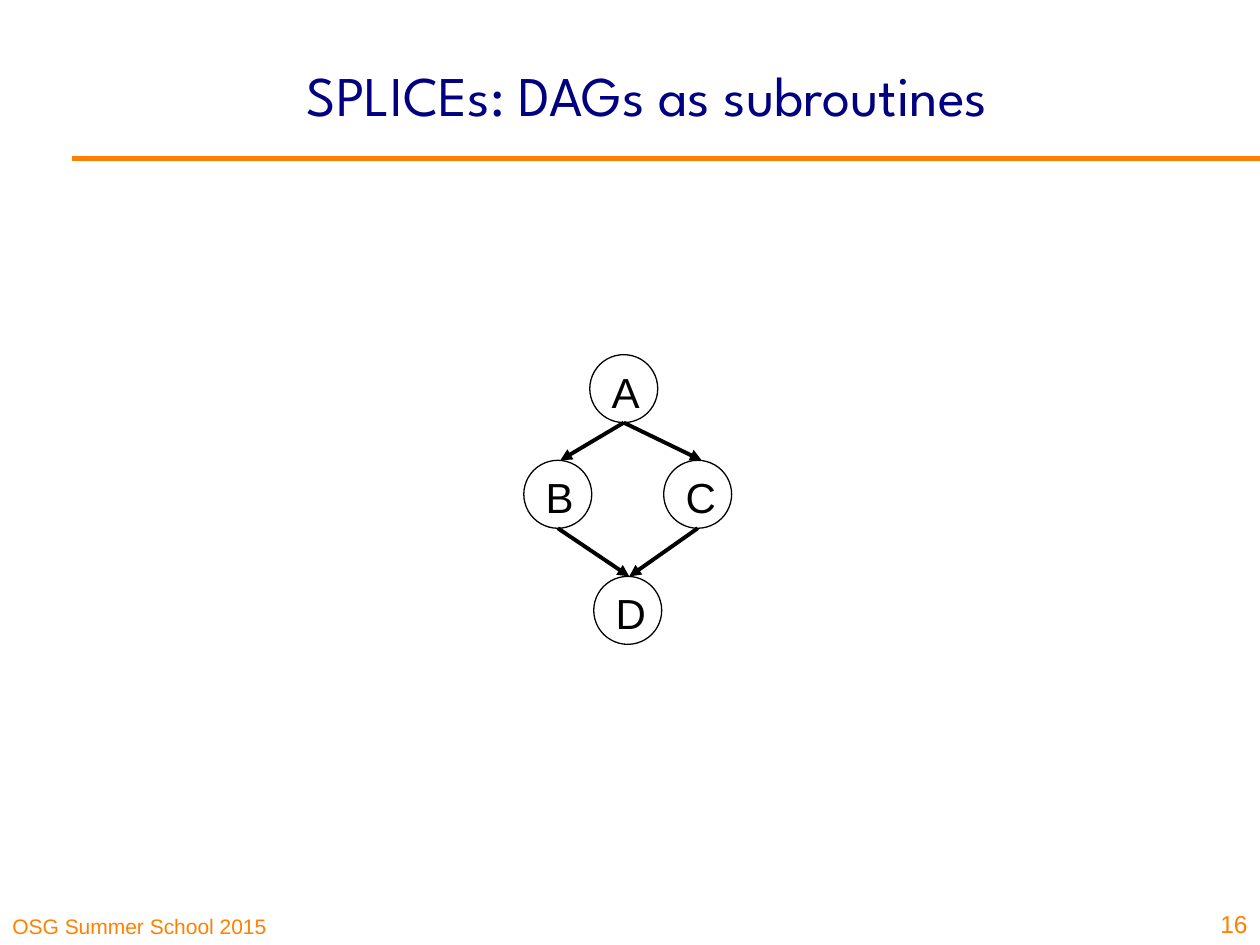
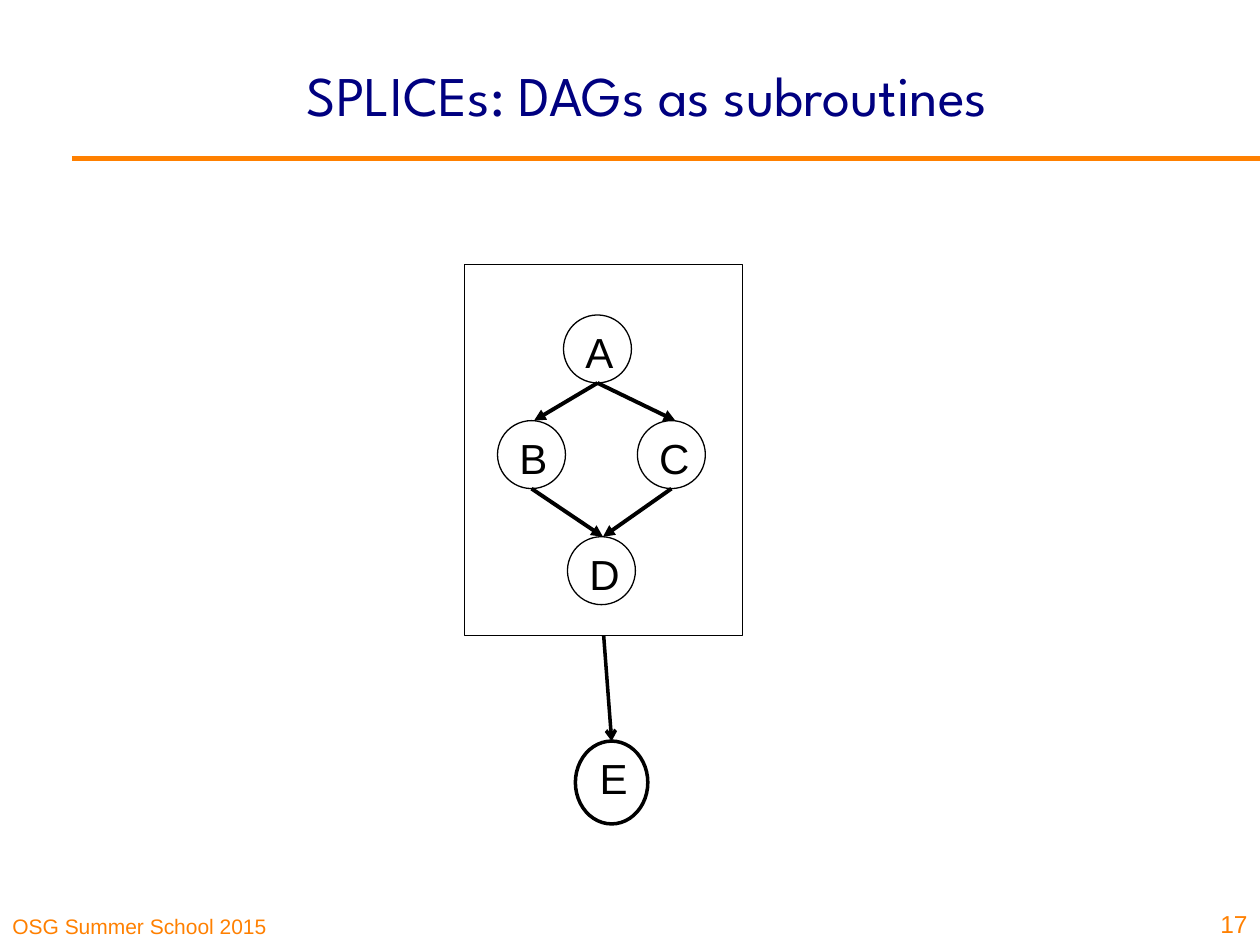
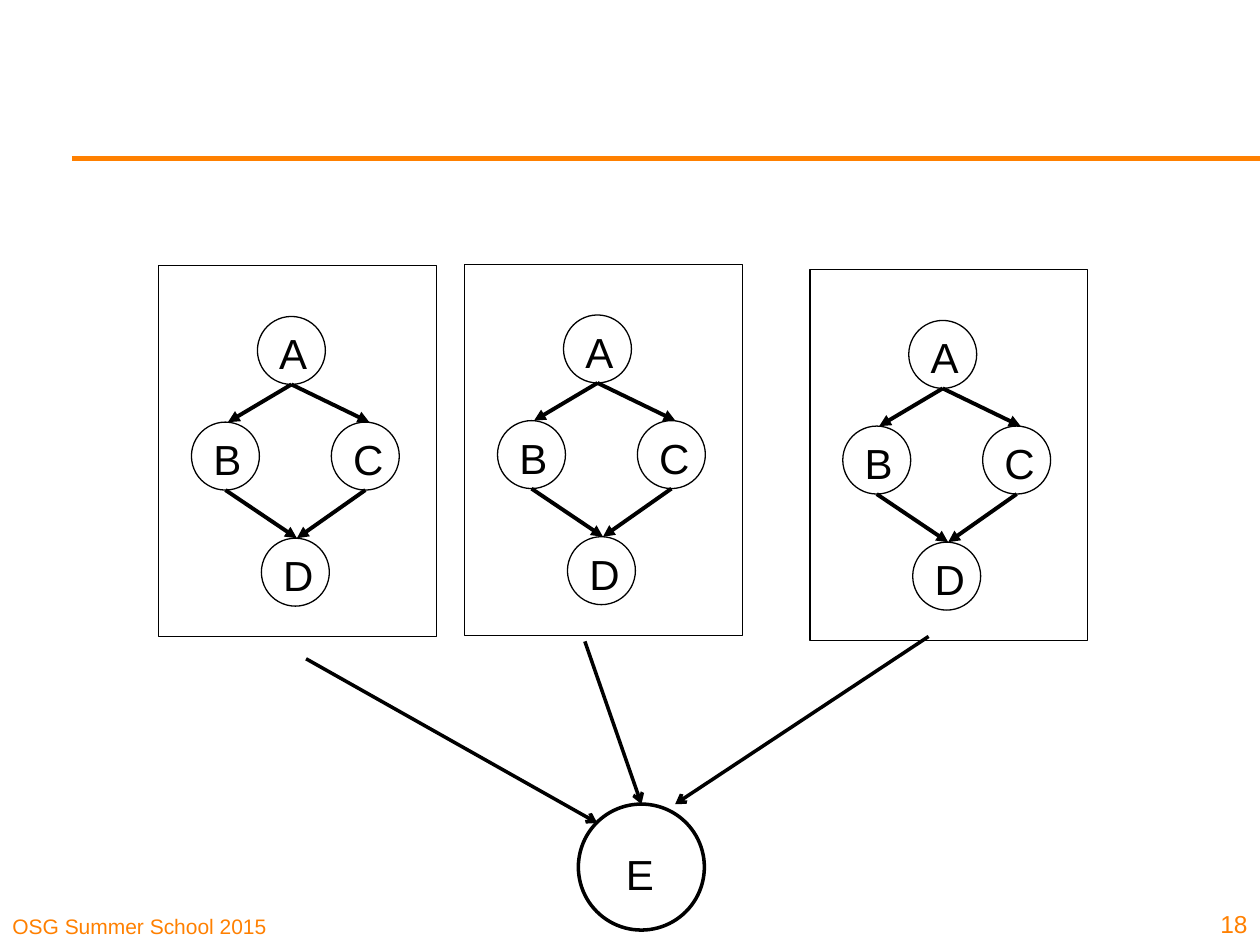
from lxml import etree
from pptx import Presentation
from pptx.dml.color import RGBColor
from pptx.enum.shapes import MSO_CONNECTOR, MSO_SHAPE
from pptx.enum.text import MSO_ANCHOR, PP_ALIGN
from pptx.oxml.ns import qn
from pptx.util import Cm, Pt

STRAIGHT = MSO_CONNECTOR.STRAIGHT
OVAL, RECTANGLE = MSO_SHAPE.OVAL, MSO_SHAPE.RECTANGLE
TOP, MIDDLE, BOTTOM = MSO_ANCHOR.TOP, MSO_ANCHOR.MIDDLE, MSO_ANCHOR.BOTTOM
LEFT, CENTER, RIGHT = PP_ALIGN.LEFT, PP_ALIGN.CENTER, PP_ALIGN.RIGHT

COLORS = {"title": "000080", "accent": "FF8000", "ink": "000000"}

# Text formats: font attributes plus colour
TITLE_FORMAT = {"name": "League Spartan", "size": Pt(32), "color": "title"}
FOOTER_FORMAT = {"name": "Arial", "size": Pt(12), "color": "accent"}
NUMBER_FORMAT = {"name": "Arial", "size": Pt(14), "color": "accent"}
LABEL_FORMAT = {"name": "Arial", "size": Pt(24), "color": "ink"}

TITLE = "SPLICEs: DAGs as subroutines"
FIRST_NUMBER = 16

# Diamond geometry in cm, measured from the corner of its frame
FRAME_SIZE = (5.6, 7.48)
NODE_SIZE = 1.37
NODES = {"A": (1.99, 1.02), "B": (0.66, 3.15), "C": (3.48, 3.15), "D": (2.07, 5.49)}
# Parent, child, and how far the tip lies right of the child's top
EDGES = [("A", "B", 0.05), ("A", "C", 0.08), ("B", "D", 0.03), ("C", "D", 0.03)]
LABEL_HEIGHT = 1.27


def rgb(name):
    return RGBColor.from_string(COLORS[name])


def add_text(shapes, text, box, text_format, alignment=LEFT, anchor=TOP, top_inset=0.13):
    frame = shapes.add_textbox(*map(Cm, box)).text_frame
    frame.word_wrap = True
    frame.vertical_anchor = anchor
    frame.margin_top = Cm(top_inset)
    paragraph = frame.paragraphs[0]
    paragraph.alignment = alignment
    run = paragraph.add_run()
    run.text = text
    for attribute, value in text_format.items():
        if attribute == "color":
            run.font.color.rgb = rgb(value)
        else:
            setattr(run.font, attribute, value)


def add_outline(shapes, kind, box, weight=0.75):
    shape = shapes.add_shape(kind, *map(Cm, box))
    shape.shadow.inherit = False
    shape.fill.background()
    shape.line.color.rgb = rgb("ink")
    shape.line.width = Pt(weight)
    return shape


def add_line(shapes, start, end, weight, color="ink", head=None):
    line = shapes.add_connector(STRAIGHT, *map(Cm, (*start, *end)))
    line.line.color.rgb = rgb(color)
    line.line.width = Pt(weight)
    properties = line._element.spPr
    if head:
        etree.SubElement(properties.find(qn("a:ln")), qn("a:tailEnd"), type=head)
    etree.SubElement(properties, qn("a:effectLst"))
    return line


def add_node(shapes, text, box, label_offset=(0.19, 0), label_width=1.1, weight=0.75):
    left, top = box[:2]
    add_outline(shapes, OVAL, box, weight)
    label_box = (left + label_offset[0], top + label_offset[1], label_width, LABEL_HEIGHT)
    add_text(shapes, text, label_box, LABEL_FORMAT, top_inset=0.23)


def add_diamond(slide, left, top, framed=True):
    """Draw the A-B-C-D graph as a group and return its frame, if any."""
    shapes = slide.shapes.add_group_shape().shapes
    corners = {name: (left + x, top + y) for name, (x, y) in NODES.items()}
    for name, corner in corners.items():
        add_node(shapes, name, (*corner, NODE_SIZE, NODE_SIZE))
    for parent, child, shift in EDGES:
        start_x, start_y = corners[parent]
        end_x, end_y = corners[child]
        add_line(shapes, (start_x + NODE_SIZE / 2, start_y + NODE_SIZE),
                 (end_x + NODE_SIZE / 2 + shift, end_y), 2.25, head="triangle")
    if framed:
        return add_outline(shapes, RECTANGLE, (left, top, *FRAME_SIZE))
    return None


def add_base_slide(presentation, title=None):
    """Add a slide with the footer, rule, page number and optional title."""
    slide = presentation.slides.add_slide(presentation.slide_layouts[6])
    number = FIRST_NUMBER + len(presentation.slides) - 1
    add_text(slide.shapes, "OSG Summer School 2015", (0, 17.98, 6.3, 1.07),
             FOOTER_FORMAT, anchor=BOTTOM)
    add_line(slide.shapes, (1.45, 3.2), (25.4, 3.2), 3, "accent")
    if title:
        add_text(slide.shapes, title, (3.4, 0.3, 19.3, 3.18), TITLE_FORMAT, CENTER, MIDDLE)
    add_text(slide.shapes, str(number), (24.23, 17.78, 1.17, 1.27),
             NUMBER_FORMAT, RIGHT, BOTTOM)
    return slide


def add_plain_dag(presentation):
    slide = add_base_slide(presentation, TITLE)
    add_diamond(slide, 9.9, 6.13, framed=False)


def add_single_splice(presentation):
    slide = add_base_slide(presentation, TITLE)
    frame = add_diamond(slide, 9.37, 5.33)
    final_node = slide.shapes.add_group_shape().shapes
    add_node(final_node, "E", (11.6, 14.94, 1.46, 1.67), (0.24, 0), 1.27, weight=2)
    arrow = add_line(slide.shapes, (12.17, 12.81), (12.33, 14.94), 2, head="arrow")
    arrow.begin_connect(frame, 2)


def add_three_splices(presentation):
    slide = add_base_slide(presentation)
    for left, top in [(3.2, 5.36), (9.37, 5.33), (16.33, 5.44)]:
        add_diamond(slide, left, top)
    # Arrows from each splice to the final node
    for start, end in [((18.72, 12.83), (13.61, 16.21)),
                       ((11.79, 12.93), (12.93, 16.21)),
                       ((6.17, 13.28), (12.04, 16.59))]:
        add_line(slide.shapes, start, end, 2, head="arrow")
    add_node(slide.shapes, "E", (11.66, 16.21, 2.54, 2.54), (0.71, 0.66), 0.95, weight=2)


def main():
    presentation = Presentation()
    presentation.slide_width, presentation.slide_height = Cm(25.4), Cm(19.05)
    add_plain_dag(presentation)
    add_single_splice(presentation)
    add_three_splices(presentation)
    presentation.save("out.pptx")


if __name__ == "__main__":
    main()
